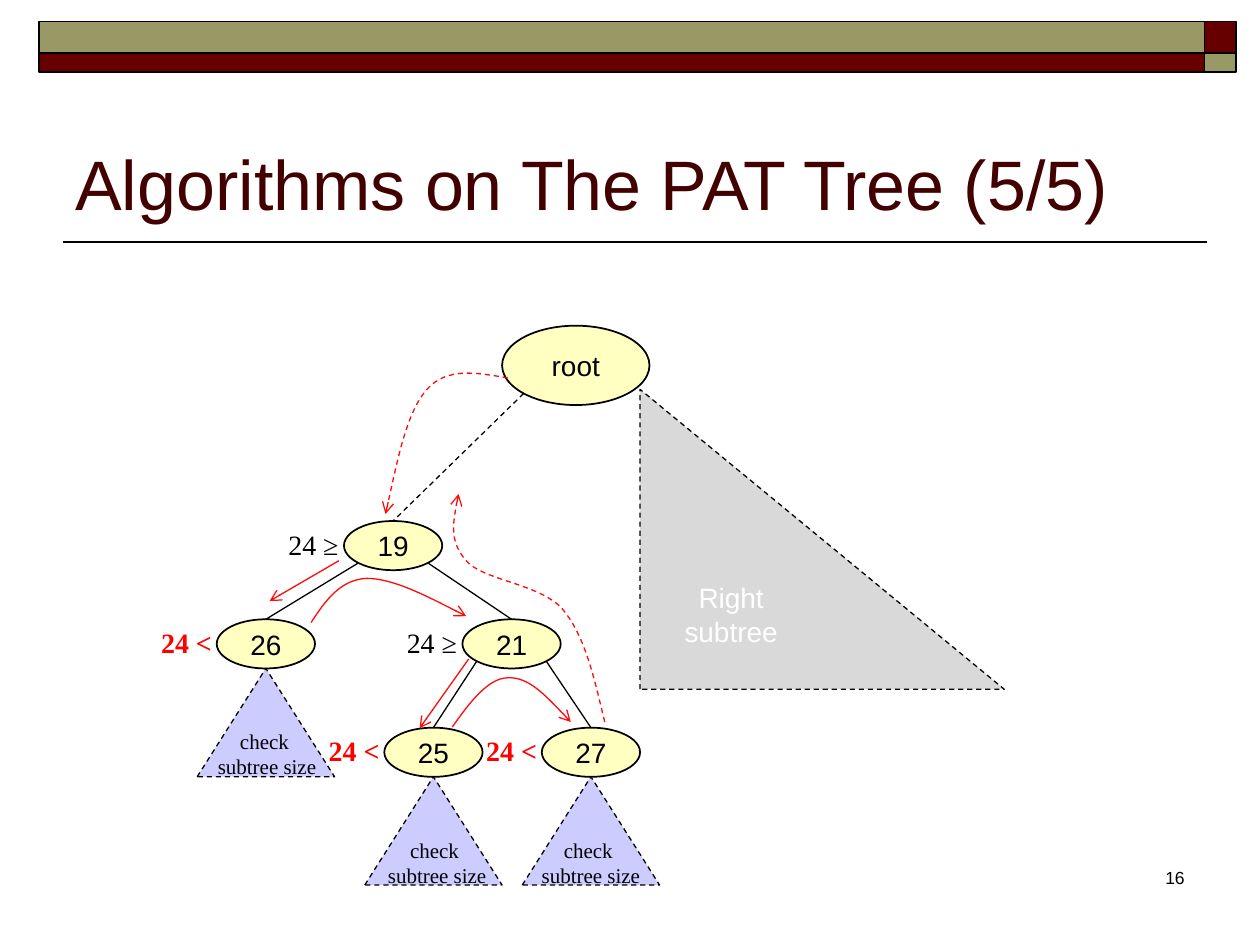
from math import sqrt
from lxml.etree import SubElement
from pptx import Presentation
from pptx.dml.color import RGBColor
from pptx.enum.dml import MSO_LINE
from pptx.enum.shapes import MSO_CONNECTOR, MSO_SHAPE
from pptx.enum.text import MSO_ANCHOR, PP_ALIGN
from pptx.oxml.ns import qn
from pptx.util import Inches, Pt

COLORS = {
    "black": "000000", "white": "FFFFFF", "maroon": "660000", "olive": "999966",
    "title": "420000", "node": "FFFFC2", "leaf": "CCCCFF", "gray": "D9D9D9",
    "walk": "FF0A0A", "less": "FF0000",
}
SANS, SERIF = "Arial", "Times New Roman"
NODE_W, NODE_H = 0.78, 0.39


def rgb(name):
    return RGBColor.from_string(COLORS[name])


def style_line(line, color="black", weight=0.75, dashed=False, arrow=False):
    line.color.rgb = rgb(color)
    line.width = Pt(weight)
    if dashed:
        line.dash_style = MSO_LINE.DASH
    if arrow:
        SubElement(line._get_or_add_ln(), qn("a:tailEnd"), type="arrow")


def write(frame, lines, size, font=SANS, color="black", bold=False,
          align=PP_ALIGN.LEFT, anchor=MSO_ANCHOR.TOP, wrap=True):
    frame.word_wrap = wrap
    frame.vertical_anchor = anchor
    for i, line in enumerate(lines):
        paragraph = frame.add_paragraph() if i else frame.paragraphs[0]
        paragraph.alignment = align
        run = paragraph.add_run()
        run.text = line
        run.font.size, run.font.name, run.font.bold = Pt(size), font, bold
        run.font.color.rgb = rgb(color)


def add_label(slide, left, top, width, height, lines, size, **options):
    box = slide.shapes.add_textbox(*map(Inches, (left, top, width, height)))
    write(box.text_frame, lines, size, **options)


def add_figure(slide, kind, left, top, width, height, fill, **line):
    figure = slide.shapes.add_shape(kind, *map(Inches, (left, top, width, height)))
    figure.shadow.inherit = False
    figure.fill.solid()
    figure.fill.fore_color.rgb = rgb(fill)
    style_line(figure.line, **line)
    return figure


def add_line(slide, start, end, **line):
    connector = slide.shapes.add_connector(
        MSO_CONNECTOR.STRAIGHT, *map(Inches, (*start, *end)))
    style_line(connector.line, **line)
    SubElement(connector._element.spPr, qn("a:effectLst"))


def add_curve(slide, points, dashed):
    """Draw a Bezier path: a start, then two handles and an end per piece."""
    start, *rest = [(Inches(x), Inches(y)) for x, y in points]
    builder = slide.shapes.build_freeform(*start)
    builder.add_line_segments(rest, close=False)
    curve = builder.convert_to_shape()
    curve.shadow.inherit = False
    curve.fill.background()
    style_line(curve.line, "walk", dashed=dashed, arrow=True)
    outline = next(curve._element.iter(qn("a:path")))
    steps = outline.findall(qn("a:lnTo"))
    for i in range(0, len(steps), 3):
        bezier = SubElement(outline, qn("a:cubicBezTo"))
        for step in steps[i:i + 3]:
            bezier.append(step[0])
            outline.remove(step)


def header(slide, left, top, width):
    # Two-tone bars with swapped end caps
    cap, y = 0.25, top
    for height, bar, end in ((0.25, "olive", "maroon"), (0.15, "maroon", "olive")):
        for x, w, fill in ((left, width - cap, bar), (left + width - cap, cap, end)):
            add_figure(slide, MSO_SHAPE.RECTANGLE, x, y, w, height, fill, weight=1)
        y += height


def title(slide, left, top, width, height, text):
    add_label(slide, left, top, width, height, [text], 40,
              color="title", anchor=MSO_ANCHOR.BOTTOM)
    rule_y = top + height + 0.09
    add_line(slide, (left, rule_y), (left + width + 0.08, rule_y), weight=1)


def tree(slide, left, top):
    # Node: centre x, centre y, width, height
    nodes = {
        "root": (3.57, 0.4, 1.17, 0.63),
        "19": (2.12, 1.83, NODE_W, NODE_H),
        "26": (1.11, 2.61, NODE_W, NODE_H),
        "21": (3.06, 2.61, NODE_W, NODE_H),
        "25": (2.44, 3.47, NODE_W, NODE_H),
        "27": (3.69, 3.47, NODE_W, NODE_H),
    }
    nodes = {name: (left + x, top + y, w, h) for name, (x, y, w, h) in nodes.items()}
    for name, (x, y, w, h) in nodes.items():
        oval = add_figure(slide, MSO_SHAPE.OVAL, x - w / 2, y - h / 2, w, h,
                          "node", weight=1)
        write(oval.text_frame, [name], 16, align=PP_ALIGN.CENTER,
              anchor=MSO_ANCHOR.MIDDLE, wrap=False)

    # Branches leave each parent at 45 degrees and reach the top of the child
    for parent, child in (("root", "19"), ("19", "26"), ("19", "21"),
                          ("21", "25"), ("21", "27")):
        px, py, pw, ph = nodes[parent]
        cx, cy, _, ch = nodes[child]
        side = 1 if cx > px else -1
        add_line(slide, (px + side * pw / sqrt(8), py + ph / sqrt(8)),
                 (cx, cy - ch / 2), dashed=parent == "root")

    # Right subtree
    right = add_figure(slide, MSO_SHAPE.ISOSCELES_TRIANGLE, left + 4.08, top + 0.59,
                       2.89, 2.38, "gray", dashed=True)
    right.adjustments[0] = 0
    write(right.text_frame, ["Right subtree"], 16, color="white",
          align=PP_ALIGN.CENTER, anchor=MSO_ANCHOR.MIDDLE)

    # Subtrees under the leaves, with their captions
    for name, shift in (("26", 0.01), ("25", 0.03), ("27", 0)):
        x, y, _, h = nodes[name]
        base = y + h / 2
        add_figure(slide, MSO_SHAPE.ISOSCELES_TRIANGLE, x - 0.545, base, 1.09, 0.86,
                   "leaf", dashed=True)
        add_label(slide, x + shift - 0.5, base + 0.43, 1, 0.5,
                  ["check ", "subtree size"], 12, font=SERIF,
                  align=PP_ALIGN.CENTER, wrap=False)

    # Comparisons to the left of the nodes
    for name in list(nodes)[1:]:
        x, y, w, h = nodes[name]
        inner = name in ("19", "21")
        add_label(slide, x - w / 2 - 0.54, y - h / 2, 0.61, 0.37,
                  ["24 ≥" if inner else "24 <"], 16, font=SERIF,
                  color="black" if inner else "less", bold=not inner, wrap=False)

    # Search walk: straight steps down, curved steps across and back
    for x1, y1, x2, y2 in ((1.69, 1.95, 1.14, 2.27), (2.72, 2.73, 2.33, 3.28)):
        add_line(slide, (left + x1, top + y1), (left + x2, top + y2),
                 color="walk", arrow=True)
    curves = (
        (True, [(3.03, 0.5), (2.79, 0.46), (2.55, 0.41), (2.39, 0.59),
                (2.23, 0.77), (2.15, 1.18), (2.06, 1.58)]),
        (False, [(1.47, 2.44), (1.58, 2.27), (1.7, 2.1), (1.91, 2.09),
                 (2.11, 2.09), (2.41, 2.24), (2.7, 2.39)]),
        (False, [(2.59, 3.27), (2.73, 3.07), (2.88, 2.88), (3.03, 2.88),
                 (3.19, 2.87), (3.36, 3.05), (3.53, 3.23)]),
        (True, [(3.8, 3.23), (3.72, 2.9), (3.65, 2.56), (3.47, 2.34),
                (3.29, 2.13), (2.84, 2.11), (2.7, 1.95),
                (2.57, 1.8), (2.6, 1.61), (2.64, 1.42)]),
    )
    for dashed, points in curves:
        add_curve(slide, [(left + x, top + y) for x, y in points], dashed)


def page_number(slide, left, top, width, height, number):
    add_label(slide, left, top, width, height, [number], 10, align=PP_ALIGN.RIGHT)


deck = Presentation()
deck.slide_width, deck.slide_height = Inches(10), Inches(7.5)
pat_slide = deck.slides.add_slide(deck.slide_layouts[6])
header(pat_slide, 0.31, 0.17, 9.5)
title(pat_slide, 0.5, 0.58, 9, 1.25, "Algorithms on The PAT Tree (5/5)")
page_number(pat_slide, 7.42, 6.83, 2.08, 0.5, "16")
tree(pat_slide, 1, 2.5)
deck.save("out.pptx")
